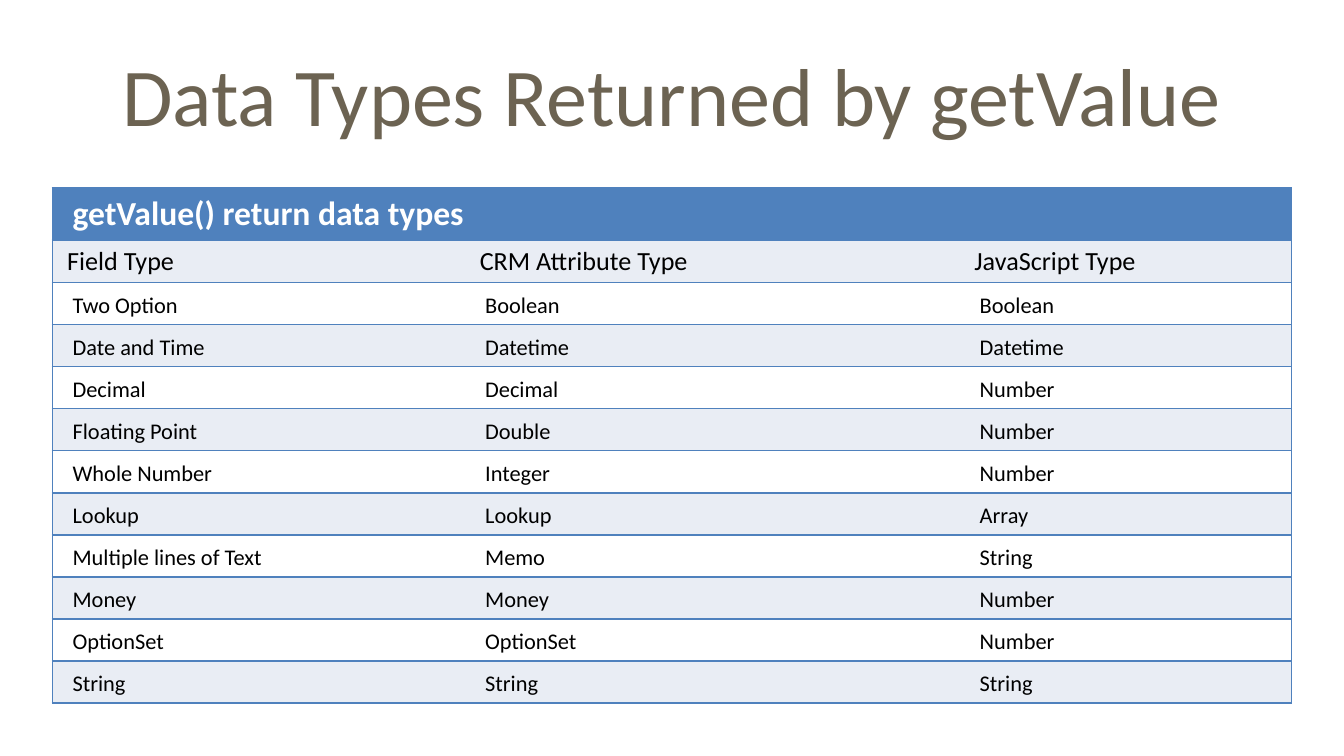
from pptx import Presentation, util as u
from pptx.dml import color
from pptx.enum import text
from pptx.oxml import parse_xml
from pptx.oxml import ns

BLUE, BAND, WHITE, BLACK, BROWN = "4F81BD", "E9EDF4", "FFFFFF", "000000", "6C6352"
TITLE = "Data Types Returned by getValue"
CAPTION = "getValue() return data types"
COLUMNS = ("Field Type", "CRM Attribute Type", "JavaScript Type")
TYPES = (
    ("Two Option", "Boolean", "Boolean"),
    ("Date and Time", "Datetime", "Datetime"),
    ("Decimal", "Decimal", "Number"),
    ("Floating Point", "Double", "Number"),
    ("Whole Number", "Integer", "Number"),
    ("Lookup", "Lookup", "Array"),
    ("Multiple lines of Text", "Memo", "String"),
    ("Money", "Money", "Number"),
    ("OptionSet", "OptionSet", "Number"),
    ("String", "String", "String"),
)


def rgb(value):
    """Return the colour for a hex string."""
    return color.RGBColor.from_string(value)


def write(frame, words, size=12, ink=BLACK, bold=False, align=text.PP_ALIGN.LEFT):
    """Put one formatted paragraph into a text frame."""
    para = frame.paragraphs[0]
    para.alignment = align
    span = para.add_run()
    span.text = words
    span.font.name = "Calibri"
    span.font.size = u.Pt(size)
    span.font.bold = bold
    span.font.color.rgb = rgb(ink)


def set_borders(cell, sides):
    """Rule the given sides of a cell and clear the others."""
    properties = cell._tc.get_or_add_tcPr()
    for side in "LRTB":
        paint = f'<a:solidFill><a:srgbClr val="{BLUE}"/></a:solidFill>' if side in sides else "<a:noFill/>"
        properties.append(parse_xml(
            f'<a:ln{side} {ns.nsdecls("a")} w="{u.Pt(1)}">{paint}</a:ln{side}>'))


def style_cell(cell, fill, sides, insets, anchor):
    """Set the borders, fill, margins and anchor of a cell."""
    set_borders(cell, sides)
    cell.fill.solid()
    cell.fill.fore_color.rgb = rgb(fill)
    cell.margin_left, cell.margin_top, cell.margin_right, cell.margin_bottom = map(u.Inches, insets)
    cell.vertical_anchor = anchor


def add_title(page, left, top, width, height):
    """Place and format the title placeholder."""
    title = page.shapes.title
    title.left, title.top, title.width, title.height = map(u.Inches, (left, top, width, height))
    title.text_frame.word_wrap = True
    title.text_frame.vertical_anchor = text.MSO_ANCHOR.MIDDLE
    write(title.text_frame, TITLE, size=44, ink=BROWN, align=text.PP_ALIGN.CENTER)


def add_type_table(page, left, top, width, height):
    """Add the table of return types with a caption row and a heading row."""
    rows = ((CAPTION, "", ""), COLUMNS, *TYPES)
    box = map(u.Inches, (left, top, width, height))
    holder = page.shapes.add_table(len(rows), len(COLUMNS), *box)
    table = holder.table
    for column, share in zip(table.columns, (3.07, 3.68, 2.47)):
        column.width = u.Inches(width * share / 9.22)
    for row, size in zip(table.rows, (0.36, 0.3, *[0.29] * len(TYPES))):
        row.height = u.Inches(size)
    holder.height = u.Inches(height)
    middle, upper = text.MSO_ANCHOR.MIDDLE, text.MSO_ANCHOR.TOP
    looks = (
        ((0.15, 0.04, 0.07, 0.04), middle, {"size": 18, "ink": WHITE, "bold": True}),
        ((0.11, 0.04, 0.07, 0.04), middle, {"size": 14}),
        ((0.15, 0.07, 0.07, 0.04), upper, {"size": 12}),
    )
    for r, row in enumerate(rows):
        insets, anchor, font = looks[min(r, 2)]
        fill = BLUE if r == 0 else BAND if r % 2 else WHITE
        for c, words in enumerate(row):
            cell = table.cell(r, c)
            sides = "LRTB" if r == 0 else ("LTB", "TB", "RTB")[c]
            style_cell(cell, fill, sides, insets, anchor)
            if words:
                write(cell.text_frame, words, **font)
    table.cell(0, 0).merge(table.cell(0, len(COLUMNS) - 1))


def main():
    """Build and save the deck."""
    deck = Presentation()
    deck.slide_width = u.Inches(10)
    deck.slide_height = deck.slide_width * 9 // 16
    page = deck.slides.add_slide(deck.slide_layouts[5])
    add_title(page, 0.5, 0.23, 9, 0.94)
    add_type_table(page, 0.39, 1.4, 9.22, 3.81)
    deck.save("out.pptx")


if __name__ == "__main__":
    main()
